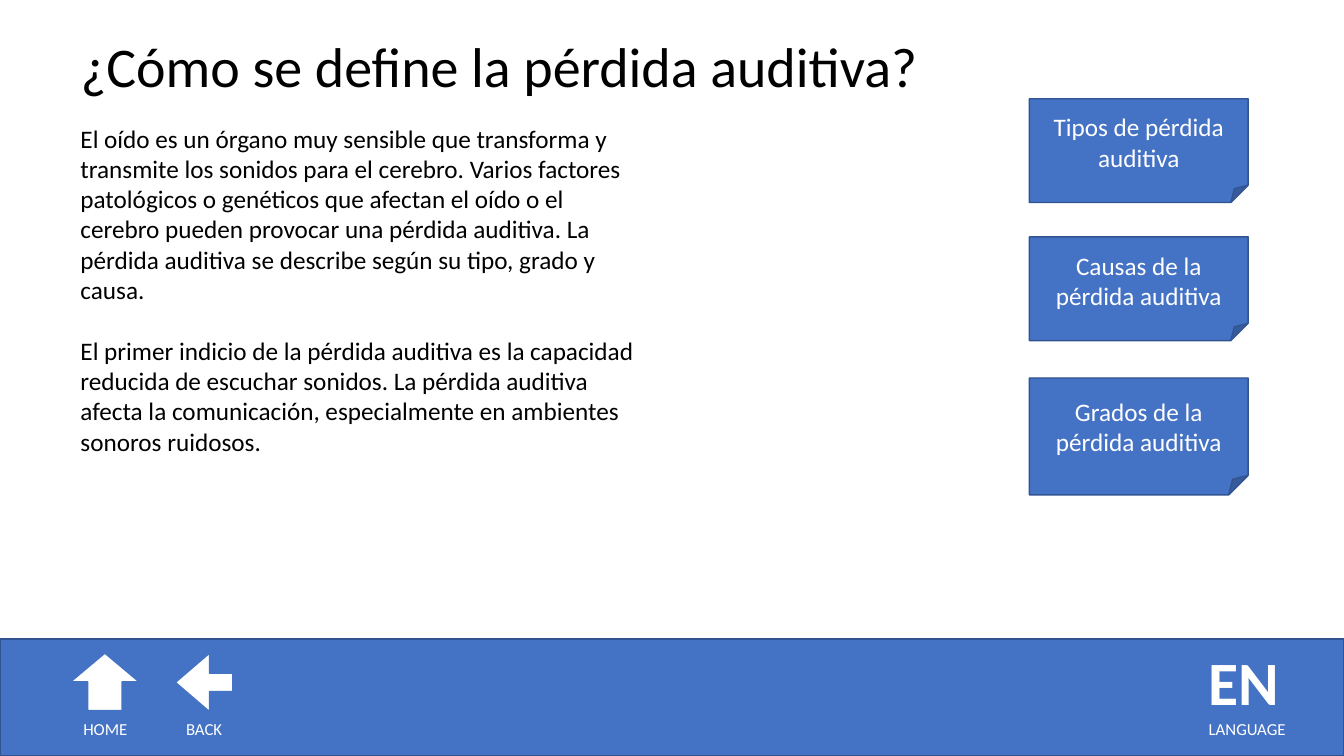
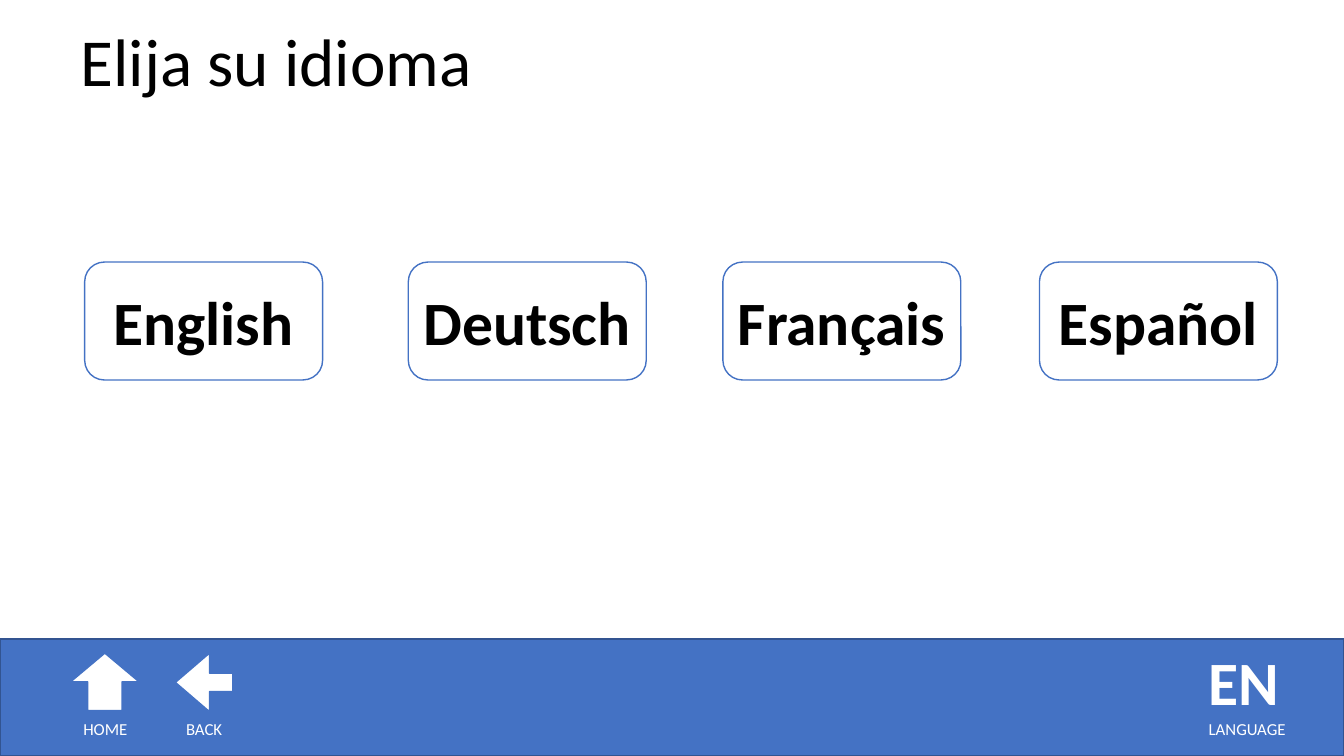
from pptx import Presentation
from pptx.dml.color import RGBColor as Rgb
from pptx.enum.shapes import MSO_SHAPE as Kind
from pptx.enum.text import MSO_ANCHOR as Anchor, PP_ALIGN as Align
from pptx.util import Inches, Pt

WIDE, HIGH = 13.33, 7.5
BLUE, EDGE, WHITE, BLACK = "4472C4", "325491", "FFFFFF", "000000"
FONT = "Calibri"
LEFT = 0.7
BAND = 6.34

INTRO = [
    "El oído es un órgano muy sensible que transforma y transmite los sonidos para el cerebro. "
    "Varios factores patológicos o genéticos que afectan el oído o el cerebro pueden provocar una "
    "pérdida auditiva. La pérdida auditiva se describe según su tipo, grado y causa.",
    "El primer indicio de la pérdida auditiva es la capacidad reducida de escuchar sonidos. "
    "La pérdida auditiva afecta la comunicación, especialmente en ambientes sonoros ruidosos.",
]
CARDS = [
    ("Tipos de pérdida auditiva", 0.98, 1.03),
    ("Causas de la pérdida auditiva", 2.35, 1.03),
    ("Grados de la pérdida auditiva", 3.75, 1.16),
]
TONGUES = [("English", 0.84), ("Deutsch", 4.05), ("Français", 7.17), ("Español", 10.31)]
ARROWS = [
    (Kind.UP_ARROW, (LEFT, 6.48, 0.68, 0.57), ()),
    (Kind.LEFT_ARROW, (1.74, 6.48, 0.57, 0.58), (0.313, 0.593)),
]
LABELS = [("HOME", 0.72, 0.65), ("BACK", 1.74, 0.57), ("LANGUAGE", 11.88, 0.98)]


def color(code):
    return Rgb.from_string(code)


def write(shape, text, size=18, ink=BLACK, bold=False, align=Align.LEFT,
          anchor=Anchor.TOP, wrap=True, gap=0):
    frame = shape.text_frame
    frame.word_wrap = wrap
    frame.vertical_anchor = anchor
    lines = [text] if isinstance(text, str) else text
    for i, line in enumerate(lines):
        para = frame.add_paragraph() if i else frame.paragraphs[0]
        para.alignment = align
        para.space_before = Pt(gap if i else 0)
        run = para.add_run()
        run.text = line
        run.font.name = FONT
        run.font.size = Pt(size)
        run.font.bold = bold
        run.font.color.rgb = color(ink)


def label(slide, text, box, **look):
    write(slide.shapes.add_textbox(*map(Inches, box)), text, **look)


def block(slide, kind, box, fill, line):
    shape = slide.shapes.add_shape(kind, *map(Inches, box))
    shape.shadow.inherit = False
    shape.fill.solid()
    shape.fill.fore_color.rgb = color(fill)
    shape.line.color.rgb = color(line)
    shape.line.width = Pt(1)
    return shape


def footer(slide):
    block(slide, Kind.RECTANGLE, (0, BAND, WIDE, HIGH - BAND), BLUE, EDGE)
    for kind, box, bends in ARROWS:
        arrow = block(slide, kind, box, WHITE, BLUE)
        for i, bend in enumerate(bends):
            arrow.adjustments[i] = bend
    for text, x, wide in LABELS:
        label(slide, text, (x, 7.08, wide, 0.3), size=12, ink=WHITE,
              align=Align.CENTER, wrap=False)
    label(slide, "EN", (11.89, BAND, 0.98, 0.84), size=44, ink=WHITE, bold=True)


def start(deck, title, box, size):
    slide = deck.slides.add_slide(deck.slide_layouts[6])
    label(slide, title, box, size=size, wrap=False)
    footer(slide)
    return slide


def main():
    deck = Presentation()
    deck.slide_width, deck.slide_height = Inches(WIDE), Inches(HIGH)

    slide = start(deck, "¿Cómo se define la pérdida auditiva?", (LEFT, 0.26, 8.59, 0.77), 40)
    label(slide, INTRO, (LEFT, 1.17, 5.83, 3.43), gap=22)
    for text, y, high in CARDS:
        card = block(slide, Kind.FOLDED_CORNER, (10.21, y, 2.17, high), BLUE, EDGE)
        write(card, text, ink=WHITE, align=Align.CENTER, anchor=Anchor.MIDDLE)

    slide = start(deck, "Elija su idioma", (LEFT, 0.14, 4.13, 0.91), 48)
    for text, x in TONGUES:
        button = block(slide, Kind.ROUNDED_RECTANGLE, (x, 2.6, 2.36, 1.17), WHITE, BLUE)
        write(button, text, size=44, bold=True, align=Align.CENTER,
              anchor=Anchor.MIDDLE, wrap=False)

    deck.save("out.pptx")


if __name__ == "__main__":
    main()
